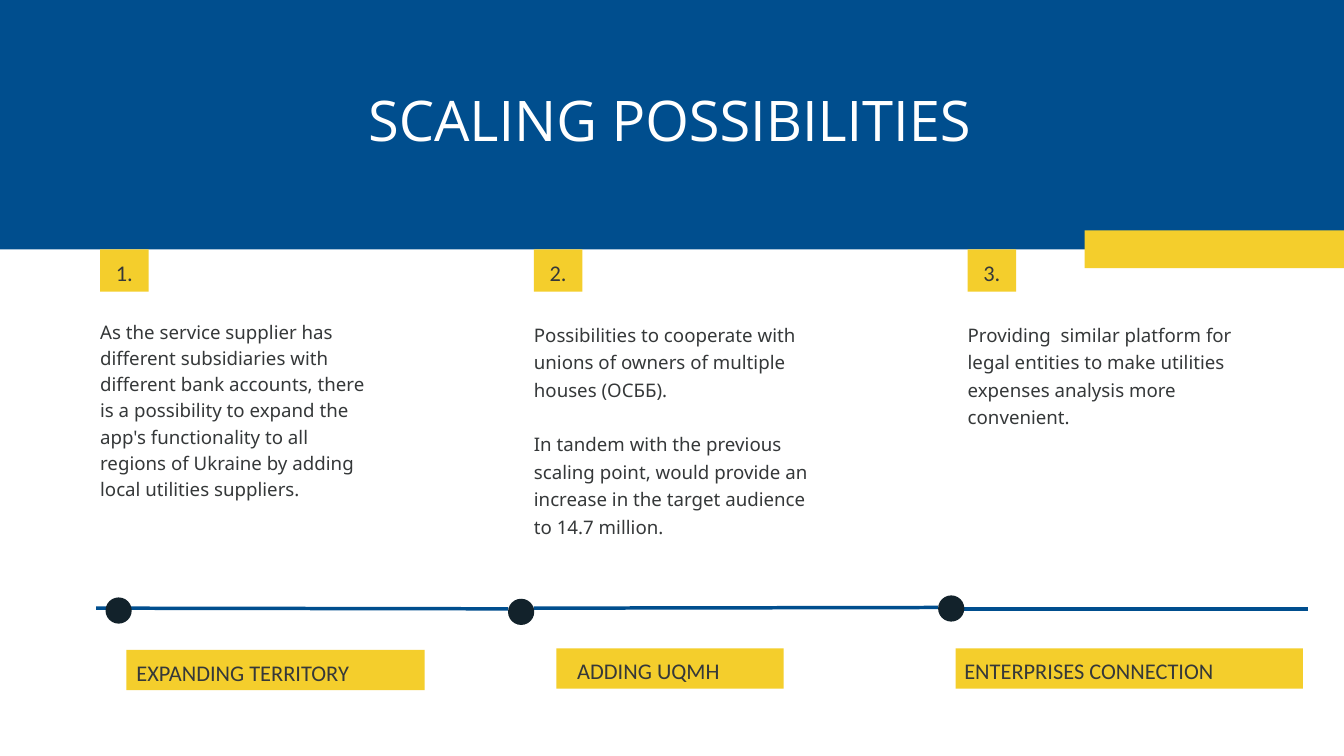
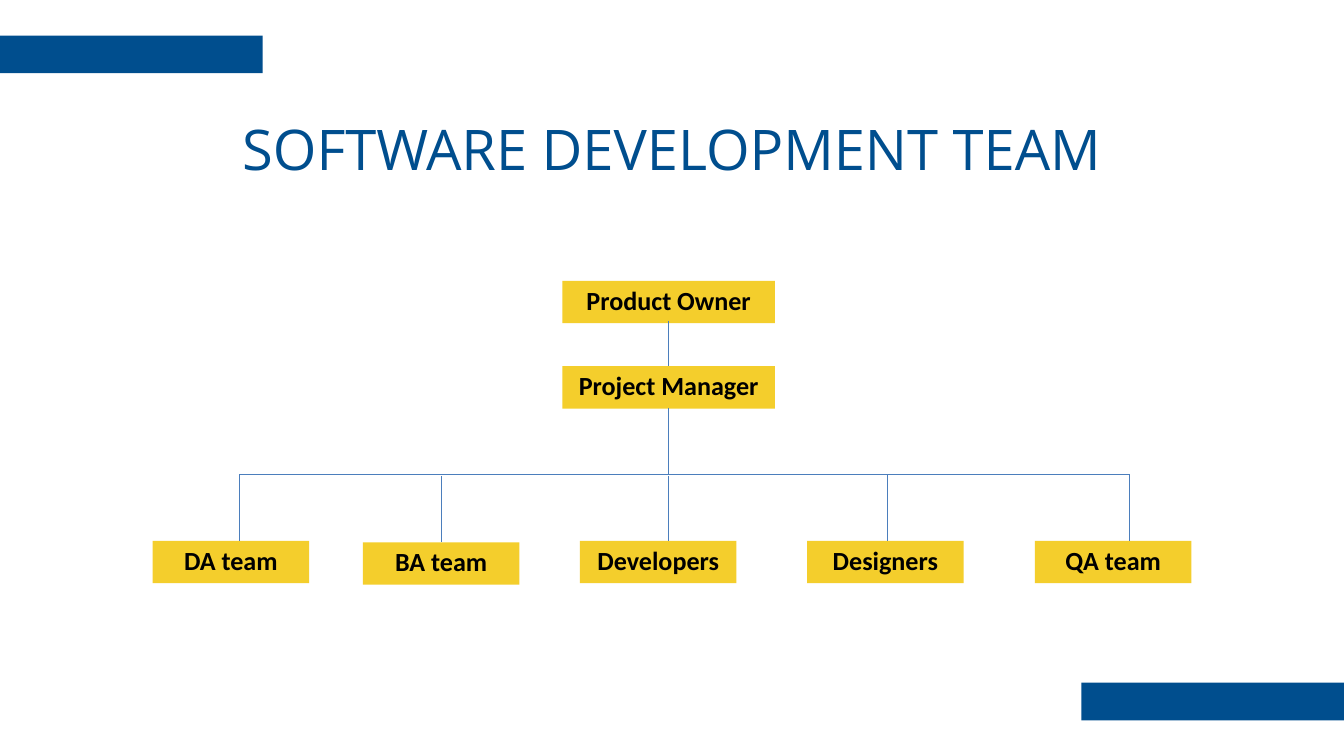
from lxml import etree
from pptx import Presentation
from pptx.dml.color import RGBColor
from pptx.enum.shapes import MSO_CONNECTOR, MSO_SHAPE
from pptx.enum.text import MSO_ANCHOR, PP_ALIGN
from pptx.oxml.ns import qn
from pptx.util import Inches, Pt

RECT, OVAL = MSO_SHAPE.RECTANGLE, MSO_SHAPE.OVAL
LINE = MSO_CONNECTOR.STRAIGHT
TOP, MIDDLE = MSO_ANCHOR.TOP, MSO_ANCHOR.MIDDLE
LEFT, CENTER = PP_ALIGN.LEFT, PP_ALIGN.CENTER
color = RGBColor.from_string

# Shared colours and text styles
BLUE, GOLD, INK = "004E8E", "F4CE2C", "353839"
DOT, WIRE, WHITE, BLACK = "12222B", "4B7EBC", "FFFFFF", "000000"

TITLE = {"font": {"name": "Open Sans", "size": Pt(60)},
         "para": {"alignment": CENTER}, "anchor": TOP, "pad": (0, 0)}
BODY = {"font": {"name": "Noto Sans", "size": Pt(20)},
        "para": {"alignment": LEFT}, "anchor": TOP, "pad": (0, 0)}
NUMBER = {"font": {"name": "Calibri", "size": Pt(24)},
          "para": {"alignment": CENTER, "line_spacing": Pt(33.6)},
          "anchor": MIDDLE, "pad": (0.06, 0.06)}
LABEL = NUMBER | {"para": NUMBER["para"] | {"alignment": LEFT}}
ROLE = {"font": {"name": "Calibri", "size": Pt(28), "bold": True},
        "para": {"alignment": CENTER}, "anchor": TOP, "pad": (0.1, 0.05)}


def box(slide, at, fill=None, lines=(), style=None, ink=INK, kind=RECT,
        lead=None, gap=0, indent=0):
    """Draw a filled shape or a bare text box, with its paragraphs."""
    at = [Inches(n) for n in at]
    if fill:
        shape = slide.shapes.add_shape(kind, *at)
        shape.shadow.inherit = False
        shape.fill.solid()
        shape.fill.fore_color.rgb = color(fill)
        shape.line.fill.background()
    else:
        shape = slide.shapes.add_textbox(*at)
    if not lines:
        return
    frame = shape.text_frame
    side, edge = (Inches(n) for n in style["pad"])
    values = {"word_wrap": True, "vertical_anchor": style["anchor"],
              "margin_left": Inches(indent) or side, "margin_right": side,
              "margin_top": edge, "margin_bottom": edge}
    for key, value in values.items():
        setattr(frame, key, value)
    for i, line in enumerate(lines):
        para = frame.add_paragraph() if i else frame.paragraphs[0]
        para.text = line
        for key, value in style["para"].items():
            setattr(para, key, value)
        if lead:
            para.line_spacing = Pt(lead)
        if i:
            para.space_before = Pt(gap)
        for key, value in style["font"].items():
            setattr(para.font, key, value)
        para.font.color.rgb = color(ink)


def rule(slide, x1, y1, x2, y2, ink, width):
    """Draw a straight line without a shadow."""
    line = slide.shapes.add_connector(LINE, *[Inches(n) for n in (x1, y1, x2, y2)])
    line.line.color.rgb = color(ink)
    line.line.width = Pt(width)
    etree.SubElement(line._element.spPr, qn("a:effectLst"))


deck = Presentation()
deck.slide_width, deck.slide_height = Inches(20), Inches(11.25)
blank = deck.slide_layouts[6]

# Slide 1: header band and title
scale = deck.slides.add_slide(blank)
box(scale, (0, 0, 20, 3.71), BLUE)
box(scale, (3.34, 1.45, 13.25, 0.83), lines=["SCALING POSSIBILITIES"],
    style=TITLE, ink=WHITE, lead=59.4)
box(scale, (16.14, 3.43, 3.91, 0.56), GOLD)

# Numbered columns: top, line spacing, paragraphs
columns = [
    (4.72, 28, ["As the service supplier has different subsidiaries with "
                "different bank accounts, there is a possibility to expand the "
                "app's functionality to all regions of Ukraine by adding local "
                "utilities suppliers."]),
    (4.74, 29.4, ["Possibilities to cooperate with unions of owners of "
                  "multiple houses (ОСББ).",
                  "In tandem with the previous scaling point, would provide an "
                  "increase in the target audience to 14.7 million."]),
    (4.74, 29.4, ["Providing  similar platform for legal entities to make "
                  "utilities expenses analysis more convenient."]),
]
for i, (top, lead, lines) in enumerate(columns):
    x = 1.49 + 6.455 * i
    box(scale, (x, 3.71, 0.72, 0.63), GOLD, [f"{i + 1}."], NUMBER)
    box(scale, (x, top, 4.11, 3.2), lines=lines, style=BODY, lead=lead, gap=lead)

# Timeline: line ends, dots, labels
for x1, y1, x2, y2 in [(1.43, 9.05, 7.56, 9.06), (7.94, 9.05, 13.96, 9.04),
                       (14.35, 9.06, 19.47, 9.06)]:
    rule(scale, x1, y1, x2, y2, BLUE, 3.75)
for x, y in [(1.57, 8.89), (7.56, 8.91), (13.96, 8.86)]:
    box(scale, (x, y, 0.39, 0.39), DOT, kind=OVAL)
for x, y, width, indent, text in [
        (1.88, 9.67, 4.44, 0.15, "EXPANDING TERRITORY"),
        (8.28, 9.65, 3.38, 0.31, "ADDING UQMH"),
        (14.22, 9.65, 5.17, 0.13, "ENTERPRISES CONNECTION")]:
    box(scale, (x, y, width, 0.6), GOLD, [text], LABEL, indent=indent)

# Slide 2: title and corner bars
team = deck.slides.add_slide(blank)
box(team, (2.37, 1.73, 15.25, 0.98), lines=["SOFTWARE DEVELOPMENT TEAM"],
    style=TITLE, ink=BLUE, lead=69.6)
for x, y in [(0, 0.53), (16.09, 10.16)]:
    box(team, (x, y, 3.91, 0.56), BLUE)

# Leads, each with a stem below
mid, bar = 9.95, 7.06
for y, start, end, text in [(4.18, 4.77, 5.45, "Product Owner"),
                            (5.45, 6.07, bar, "Project Manager")]:
    box(team, (8.37, y, 3.16, 0.63), GOLD, [text], ROLE, BLACK)
    rule(team, mid, start, mid, end, WIRE, 0.75)

# Teams: box left, stem, drop below the bar
rule(team, 3.56, bar, 16.81, bar, WIRE, 0.75)
for x, stem, box_drop, stem_drop, text in [
        (2.27, 3.56, 0, 0, "DA team"), (5.4, 6.57, 0.02, 0.02, "BA team"),
        (8.63, mid, 0, 0.02, "Developers"), (12.01, 13.2, 0, 0, "Designers"),
        (15.4, 16.8, 0, 0, "QA team")]:
    box(team, (x, 8.05 + box_drop, 2.33, 0.63), GOLD, [text], ROLE, BLACK)
    rule(team, stem, bar + stem_drop, stem, 8.05 + box_drop, WIRE, 0.75)

deck.save("out.pptx")
